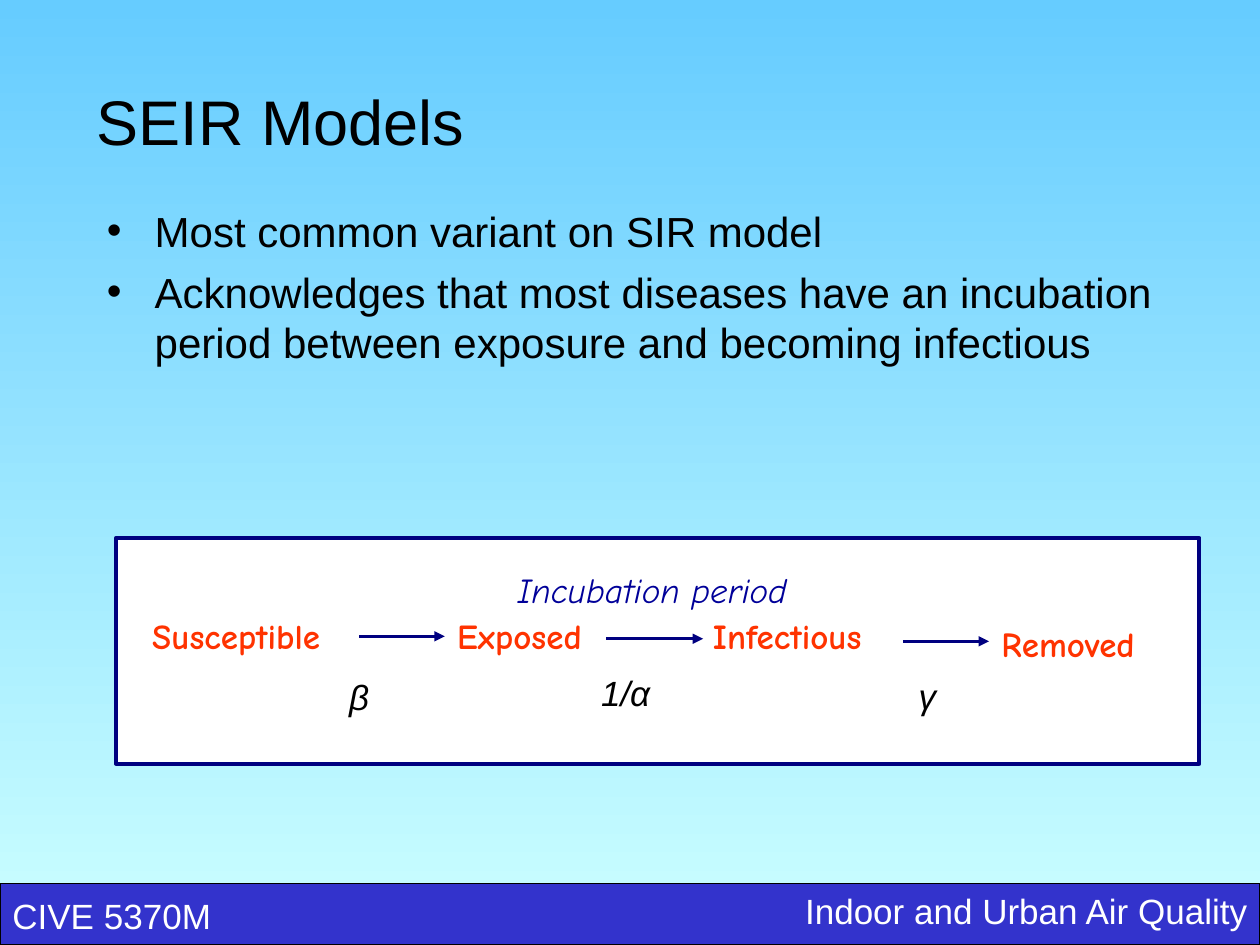
from lxml.etree import SubElement
from pptx import Presentation
from pptx.dml.color import RGBColor as RGB
from pptx.enum.shapes import MSO_CONNECTOR as CONN, MSO_SHAPE as SHAPE
from pptx.enum.text import MSO_ANCHOR as ANCHOR, PP_ALIGN as ALIGN
from pptx.oxml.ns import qn
from pptx.util import Inches, Pt

COLS, ROWS = 100, 75
COLORS = {
    "sky": "66CCFF", "pale": "CCFFFF", "band": "3333CC", "navy": "000080",
    "label": "000099", "state": "FF3300", "white": "FFFFFF", "black": "000000",
}
C = {name: RGB.from_string(value) for name, value in COLORS.items()}

prs = Presentation()
prs.slide_width, prs.slide_height = Inches(10), Inches(7.5)
s = prs.slides.add_slide(prs.slide_layouts[6])


def grid(x, y, *size):
    units = (prs.slide_width / COLS, prs.slide_height / ROWS) * 2
    return [round(v * u) for v, u in zip((x, y, *size), units)]


def write(text, at, size=20, color="black", font="Arial", bold=False, italic=False,
          align=ALIGN.LEFT, anchor=ANCHOR.TOP, inset=True, before=12.5, bullet=None):
    tf = s.shapes.add_textbox(*grid(*at)).text_frame
    tf.word_wrap = True
    tf.vertical_anchor = anchor
    if not inset:
        tf.margin_left = tf.margin_right = tf.margin_top = tf.margin_bottom = 0
    for i, line in enumerate(text.split("\n")):
        p = tf.paragraphs[0] if i == 0 else tf.add_paragraph()
        p.alignment = align
        p.space_before = Pt(before)
        r = p.add_run()
        r.text = line
        r.font.size, r.font.name = Pt(size), font
        r.font.bold, r.font.italic = bold, italic
        r.font.color.rgb = C[color]
        if bullet:
            pPr = p._p.get_or_add_pPr()
            pPr.set("marL", str(Inches(0.38)))
            pPr.set("indent", str(-Inches(0.38)))
            SubElement(pPr, qn("a:buFont")).set("typeface", font)
            SubElement(pPr, qn("a:buChar")).set("char", bullet)


fill = s.background.fill
fill.gradient()
fill.gradient_angle = 270
for stop, name in zip(fill.gradient_stops, ("sky", "pale")):
    stop.color.rgb = C[name]

for at, color, line, width in (
    ((0, 70.1, 100, 4.9), "band", "black", 0.75),
    ((9.2, 42.7, 86, 17.9), "white", "navy", 2.25),
):
    sp = s.shapes.add_shape(SHAPE.RECTANGLE, *grid(*at))
    sp.shadow.inherit = False
    sp.fill.solid()
    sp.fill.fore_color.rgb = C[color]
    sp.line.color.rgb = C[line]
    sp.line.width = Pt(width)

write("CIVE 5370M", (0, 70.5, 59, 4.4), color="white")
write("Indoor and Urban Air Quality", (61.9, 70.1, 38.1, 4.4), color="white", align=ALIGN.RIGHT)
write("SEIR Models", (6.7, 3.3, 85, 12.5), size=36, anchor=ANCHOR.MIDDLE, before=0)
write("Most common variant on SIR model\n"
      "Acknowledges that most diseases have an incubation period "
      "between exposure and becoming infectious",
      (7.5, 15.8, 85, 55.8), size=24, before=6, bullet="•")

for state, x, y, w in (
    ("Susceptible", 11.1, 48.3, 23.2),
    ("Exposed", 35.3, 48.3, 23.2),
    ("Infectious", 55.6, 48.3, 23.2),
    ("Removed", 78.5, 48.9, 20),
):
    write(state, (x, y, w, 4.4), color="state", font="Comic Neue", bold=True)
write("Incubation period", (40.1, 44.6, 31.9, 4.4), color="label", font="Comic Neue", italic=True)

for x1, x2, y in ((28.5, 35.3, 50.5), (48.1, 55.8, 50.7), (71.7, 78.5, 50.9)):
    cn = s.shapes.add_connector(CONN.STRAIGHT, *grid(x1, y, x2, y))
    cn.line.color.rgb = C["navy"]
    cn.line.width = Pt(1.5)
    SubElement(cn.line._get_or_add_ln(), qn("a:tailEnd")).set("type", "triangle")
    SubElement(cn._element.spPr, qn("a:effectLst"))

for rate, x, y in (("β", 27.7, 53.6), ("1/α", 47.7, 53.3), ("γ", 72.9, 53.5)):
    write(rate, (x, y, 5.5, 3.3), italic=True, inset=False)

prs.save("out.pptx")
